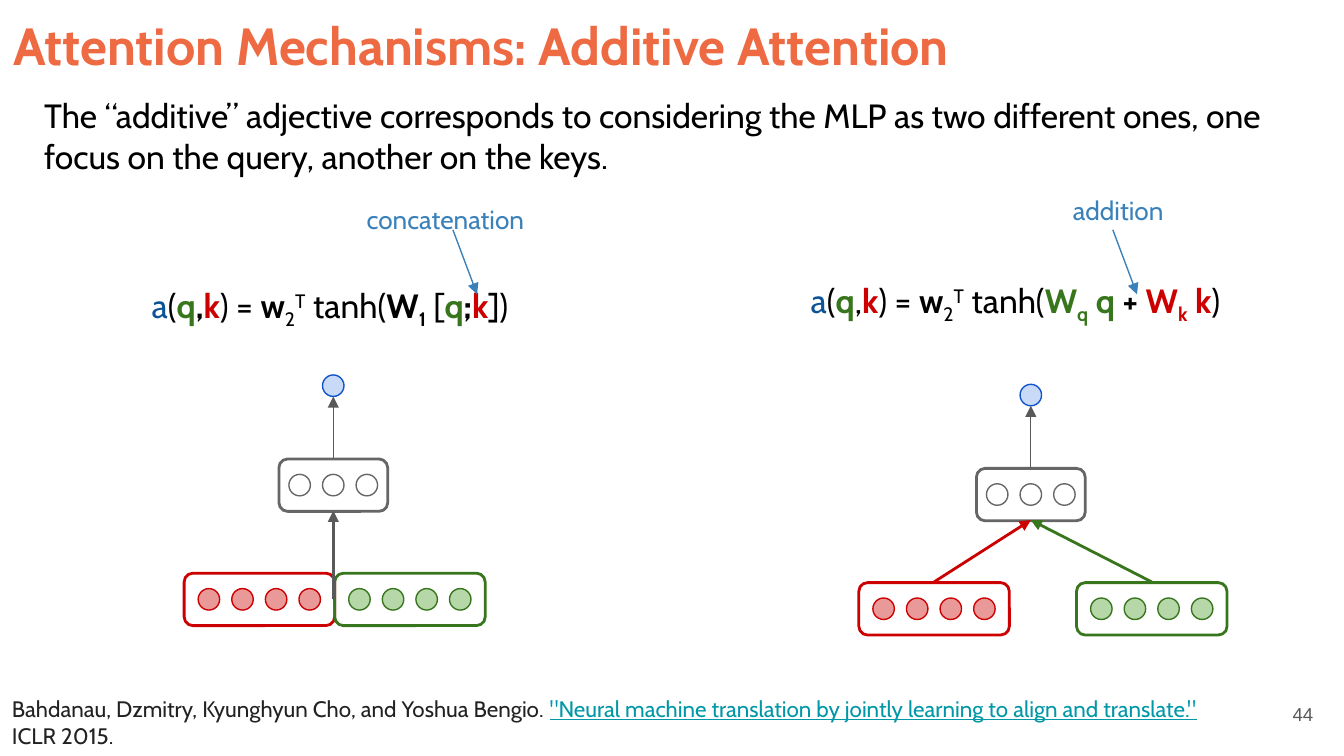
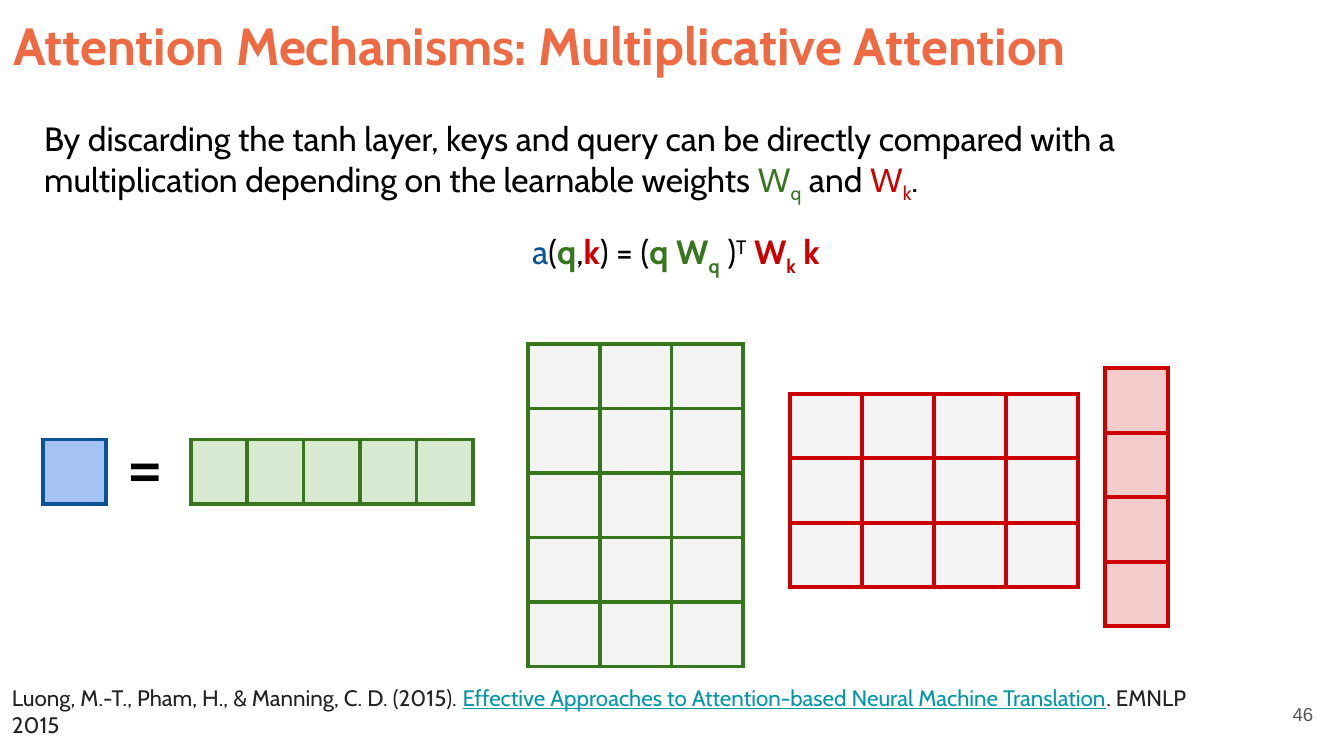
from lxml.etree import SubElement
from pptx import Presentation
from pptx.dml.color import RGBColor
from pptx.enum.shapes import MSO_CONNECTOR, MSO_SHAPE
from pptx.enum.text import MSO_ANCHOR, PP_ALIGN
from pptx.oxml.ns import qn
from pptx.util import Inches, Pt

BLACK = RGBColor(0x00, 0x00, 0x00)
ORANGE = RGBColor(0xED, 0x6A, 0x43)
INK = RGBColor(0x22, 0x22, 0x22)
TEAL = RGBColor(0x00, 0x97, 0xA7)
GREY = RGBColor(0x59, 0x59, 0x59)
EDGE = RGBColor(0x66, 0x66, 0x66)
PALE = RGBColor(0xF3, 0xF3, 0xF3)
RED = RGBColor(0xCC, 0x00, 0x00)
ROSE = RGBColor(0xEA, 0x99, 0x99)
BLUSH = RGBColor(0xF4, 0xCC, 0xCC)
GREEN = RGBColor(0x38, 0x76, 0x1D)
LEAF = RGBColor(0xB6, 0xD7, 0xA8)
MINT = RGBColor(0xD9, 0xEA, 0xD3)
NAVY = RGBColor(0x0B, 0x53, 0x94)
BLUE = RGBColor(0x11, 0x55, 0xCC)
SKY = RGBColor(0xC9, 0xDA, 0xF8)
AZURE = RGBColor(0xA4, 0xC2, 0xF4)
NOTE = RGBColor(0x3A, 0x81, 0xBA)

SUB, SUP = -25000, 30000


def write(slide, box, runs, align=PP_ALIGN.LEFT, anchor=MSO_ANCHOR.TOP, **look):
    """Add a text box; each run is (text, colour, extra format, baseline)."""
    frame = slide.shapes.add_textbox(*map(Inches, box)).text_frame
    form = {"word_wrap": True, "vertical_anchor": anchor}
    form |= {f"margin_{side}": Inches(0.1) for side in ("left", "top", "right", "bottom")}
    for key, value in form.items():
        setattr(frame, key, value)
    para = frame.paragraphs[0]
    para.alignment = align
    for text, ink, extra, base in runs:
        run = para.add_run()
        run.text = text
        for key, value in ({"name": "Cabin", "size": Pt(18)} | look | extra).items():
            setattr(run.font, key, value)
        run.font.color.rgb = ink
        if base:
            run._r.get_or_add_rPr().set("baseline", str(base))


def layer(x, y, wide, count, edge, fill):
    """List a rounded box centred on x, y, and its row of dots."""
    dots = [(MSO_SHAPE.OVAL, x + (i - (count - 1) / 2) * 0.25, y, 0.16, 0.16, edge, fill, 0.75)
            for i in range(count)]
    return [(MSO_SHAPE.ROUNDED_RECTANGLE, x, y, wide, 0.39, edge, None, 1.5)] + dots


BOLD, LINK = {"bold": True}, {"underline": True}

# Formula parts
HEAD = [("a", NAVY, {}, 0), ("(", BLACK, {}, 0), ("q", GREEN, BOLD, 0)]
KEY = ("k", RED, BOLD, 0)
COMMA = (",", BLACK, {}, 0)
TANH = [(") = ", BLACK, {}, 0), ("w", BLACK, BOLD, 0), ("2", BLACK, {}, SUB),
        ("T", BLACK, {}, SUP), (" tanh(", BLACK, {}, 0)]
WK = [("W", RED, BOLD, 0), ("k", RED, BOLD, SUB), (" k", RED, BOLD, 0)]

joint = HEAD + [(",", BLACK, BOLD, 0), KEY] + TANH + [
    ("W", BLACK, BOLD, 0), ("1", BLACK, BOLD, SUB), (" [", BLACK, {}, 0),
    ("q", GREEN, BOLD, 0), (";", BLACK, BOLD, 0), KEY, ("])", BLACK, {}, 0)]
summed = HEAD + [COMMA, KEY] + TANH + [
    ("W", GREEN, BOLD, 0), ("q", GREEN, BOLD, SUB), (" q ", GREEN, BOLD, 0),
    ("+ ", BLACK, BOLD, 0)] + WK + [(")", BLACK, {}, 0)]
product = HEAD + [COMMA, KEY, (") = (", BLACK, {}, 0), ("q W", GREEN, BOLD, 0),
                  ("q", GREEN, BOLD, SUB), (" )", BLACK, {}, 0),
                  ("T", BLACK, {}, SUP), (" ", BLACK, {}, 0)] + WK

# Shared parts of both slides: number, title, lead, source
PAGES = [
    ("44", "Additive", 0.61,
     [("The “additive” adjective corresponds to considering the MLP as two different ones, "
       "one focus on the query, another on the keys.", BLACK, {}, 0)],
     (-0.01, 5.07, 9.32, 0.63),
     ("Bahdanau, Dzmitry, Kyunghyun Cho, and Yoshua Bengio. ",
      '"Neural machine translation by jointly learning to align and translate."',
      " ICLR 2015.")),
    ("46", "Multiplicative", 0.78,
     [("By discarding the tanh layer, keys and query can be directly compared with a "
       "multiplication depending on the learnable weights ", BLACK, {}, 0),
      ("W", GREEN, {}, 0), ("q", GREEN, {}, SUB), (" and ", BLACK, {}, 0),
      ("W", RED, {}, 0), ("k", RED, {}, SUB), (".", BLACK, {}, 0)],
     (-0.01, 4.99, 9, 0.63),
     ("Luong, M.-T., Pham, H., & Manning, C. D. (2015). ",
      "Effective Approaches to Attention-based Neural Machine Translation",
      ". EMNLP 2015")),
]

deck = Presentation()
deck.slide_width, deck.slide_height = Inches(10), Inches(10 * 9 / 16)
slides = []
for number, kind, top, lead, place, (names, paper, venue) in PAGES:
    slide = deck.slides.add_slide(deck.slide_layouts[6])
    slides.append(slide)
    write(slide, (9.27, 5.1, 0.6, 0.43), [(number, GREY, {}, 0)],
          PP_ALIGN.RIGHT, MSO_ANCHOR.MIDDLE, name="Arial", size=Pt(10))
    write(slide, (0, 0, 9.32, 0.63),
          [(f"Attention Mechanisms: {kind} Attention", ORANGE, BOLD, 0)], size=Pt(28))
    write(slide, place, [(names, INK, {}, 0), (paper, TEAL, LINK, 0), (venue, INK, {}, 0)],
          size=Pt(12))
    write(slide, (0.23, top, 9.4, 0.81), lead)
add, mult = slides

# Additive attention: two small networks
marks, arrows = [], []
for x, y, key, query in [(2.48, 2.87, 1.93, 3.05), (7.67, 2.94, 6.95, 8.57)]:
    marks += layer(key, y + 1.59, 1.12, 4, RED, ROSE)
    marks += layer(query, y + 1.59, 1.12, 4, GREEN, LEAF)
    marks += layer(x, y + 0.74, 0.81, 3, EDGE, None)
    marks.append((MSO_SHAPE.OVAL, x, y, 0.16, 0.16, BLUE, SKY, 0.75))
    arrows.append((x, y + 0.54, x, y + 0.08, GREY, 0.75))
arrows += [
    (2.48, 4.46, 2.48, 3.8, GREY, 1.5),
    (8.57, 4.33, 7.67, 3.87, GREEN, 1.5),
    (6.95, 4.33, 7.67, 3.87, RED, 1.5),
    (3.37, 1.71, 3.55, 2.19, NOTE, 0.75),
    (8.28, 1.71, 8.46, 2.19, NOTE, 0.75),
]

for kind, x, y, wide, high, edge, fill, weight in marks:
    shape = add.shapes.add_shape(
        kind, *map(Inches, (x - wide / 2, y - high / 2, wide, high)))
    shape.shadow.inherit = False
    shape.line.color.rgb = edge
    shape.line.width = Pt(weight)
    if fill is None:
        shape.fill.background()
    else:
        shape.fill.solid()
        shape.fill.fore_color.rgb = fill

write(add, (0.6, 2.02, 3.71, 0.65), joint, PP_ALIGN.CENTER)
write(add, (5.7, 1.98, 3.71, 0.65), summed, PP_ALIGN.CENTER)
write(add, (2.63, 1.41, 1.47, 0.3), [("concatenation", NOTE, {}, 0)], size=Pt(14))
write(add, (7.76, 1.35, 1.12, 0.3), [("addition", NOTE, {}, 0)],
      PP_ALIGN.CENTER, size=Pt(14))

for *ends, ink, weight in arrows:
    arrow = add.shapes.add_connector(MSO_CONNECTOR.STRAIGHT, *map(Inches, ends))
    arrow.line.color.rgb = ink
    arrow.line.width = Pt(weight)
    SubElement(arrow.line._get_or_add_ln(), qn("a:tailEnd"), type="triangle")
    SubElement(arrow._element.spPr, qn("a:effectLst"))

# Multiplicative attention: matrices as (left, top, rows, columns, full width, line, fill)
GRIDS = [
    (0.32, 3.27, 1, 1, 0.47, NAVY, AZURE),
    (1.42, 3.27, 1, 5, 2.1, GREEN, MINT),
    (3.93, 2.56, 5, 3, 1.6, GREEN, PALE),
    (5.88, 2.93, 3, 4, 2.14, RED, PALE),
    (8.22, 2.74, 4, 1, 0.47, RED, BLUSH),
]
HIGH = 0.48
for left, top, rows, cols, wide, edge, fill in GRIDS:
    table = mult.shapes.add_table(
        rows, cols, *map(Inches, (left, top, wide, rows * HIGH))).table
    table.first_row = table.horz_banding = False
    for cell in table.iter_cells():
        props = cell._tc.get_or_add_tcPr()
        for side in ("lnL", "lnR", "lnT", "lnB"):
            line = SubElement(props, qn(f"a:{side}"), w=str(Pt(2.25)))
            SubElement(SubElement(line, qn("a:solidFill")), qn("a:srgbClr"), val=str(edge))
        cell.fill.solid()
        cell.fill.fore_color.rgb = fill

write(mult, (0.84, 3.02, 0.95, 0.53), [("=", BLACK, {}, 0)], size=Pt(40))
write(mult, (0.03, 1.62, 10, 0.65), product, PP_ALIGN.CENTER)

deck.save("out.pptx")
